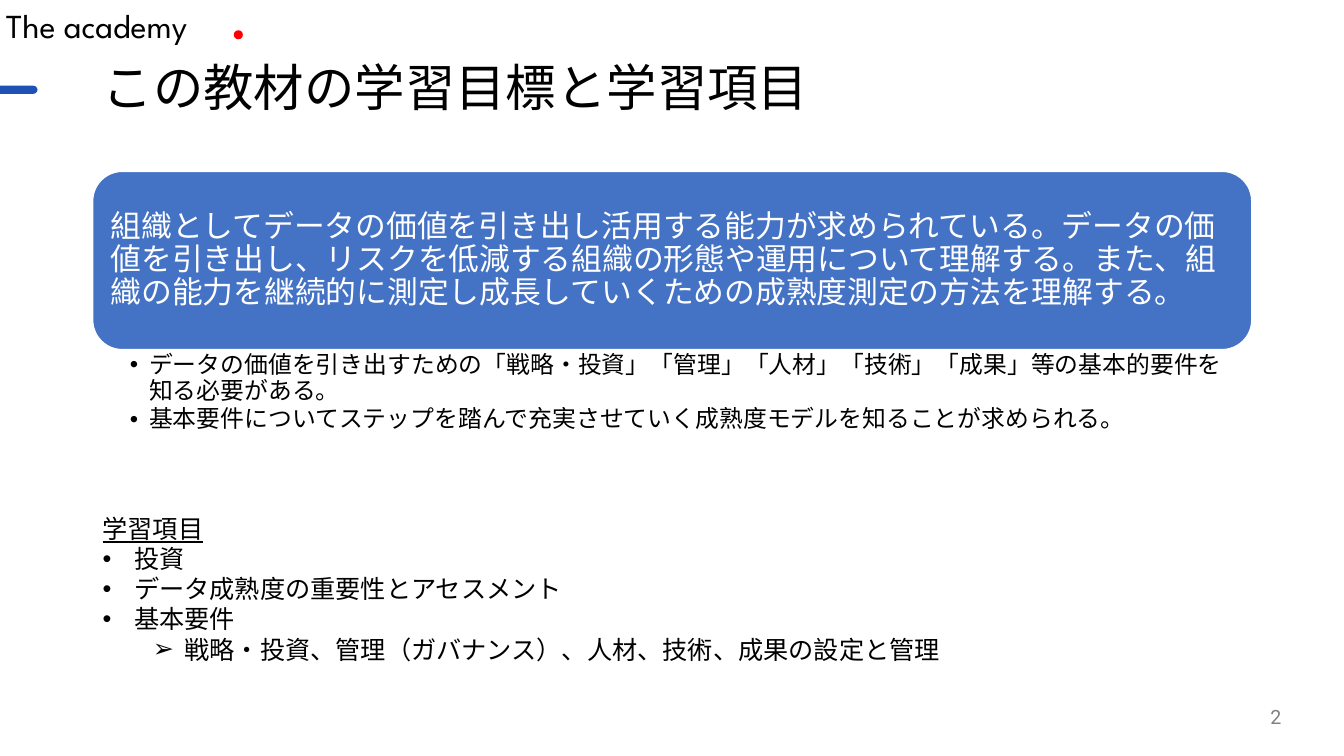
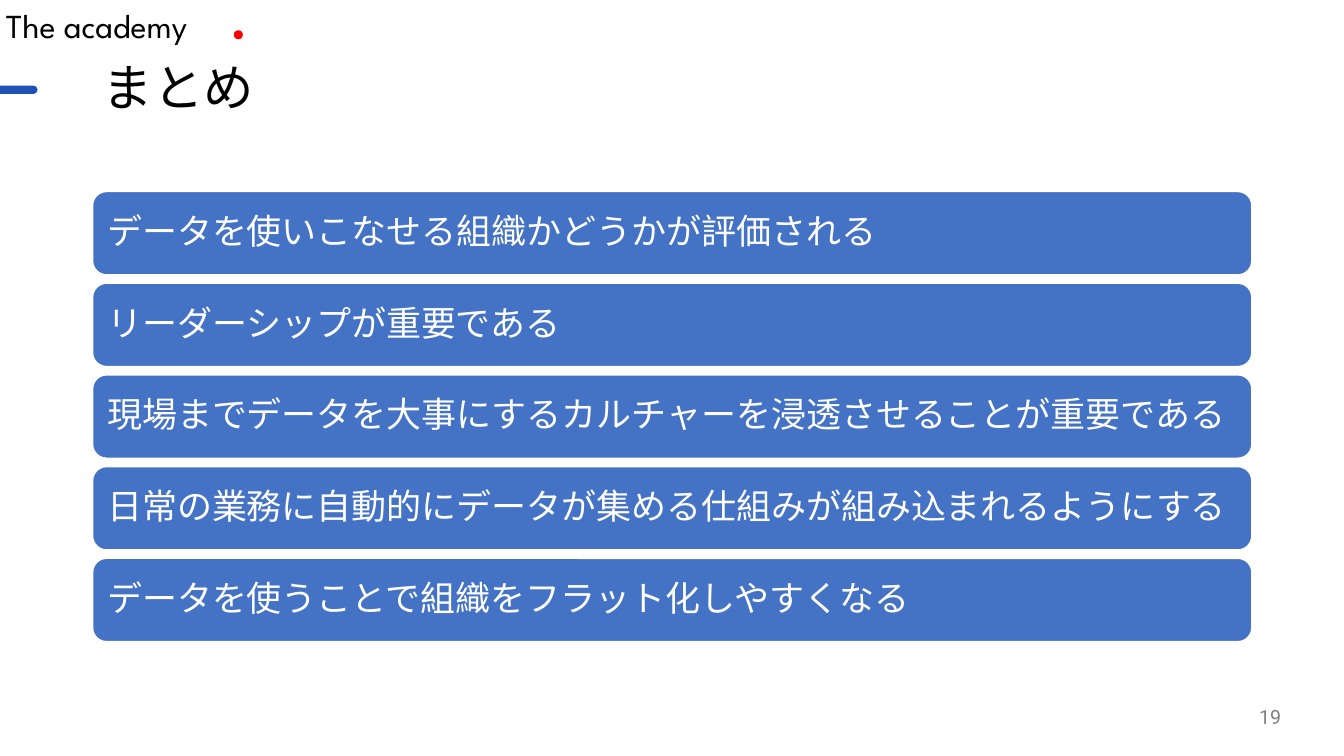
from dataclasses import dataclass
from typing import Any

from lxml import etree
from pptx import Presentation
from pptx import util as u
from pptx.dml import color
from pptx.enum import shapes, text
from pptx.oxml import ns

# Shared style
JAPANESE, LATIN, BRAND = "Noto Sans CJK JP", "Roboto", "League Spartan"
BLACK, WHITE, GREY = "000000", "FFFFFF", "808080"
CARD_BLUE, BAR_BLUE, RED = "4472C4", "1E50B5", "FF0000"
LEFT, WIDTH = 66.2, 828
MIDDLE = text.MSO_ANCHOR.MIDDLE


@dataclass(frozen=True)
class Box:
    left: float
    top: float
    width: float
    height: float

    def place(self) -> tuple[u.Length, ...]:
        return tuple(u.Pt(v) for v in (self.left, self.top, self.width, self.height))


@dataclass(frozen=True)
class Style:
    size: float
    ink: str = BLACK
    face: str = JAPANESE
    line_spacing: float = 1.0
    space_after: float = 0
    alignment: Any = text.PP_ALIGN.LEFT


@dataclass(frozen=True)
class Line:
    words: str
    bullet: str = ""
    margin: float = 0
    hanging: float = 0
    underline: bool = False


TITLE_STYLE = Style(36, face=LATIN, line_spacing=0.9)
NUMBER_STYLE = Style(14, GREY, LATIN, alignment=text.PP_ALIGN.RIGHT)


def rgb(value: str) -> color.RGBColor:
    return color.RGBColor.from_string(value)


def apply(target: Any, values: dict[str, Any]) -> None:
    for name, value in values.items():
        setattr(target, name, value)


def add_bullet(paragraph: Any, line: Line) -> None:
    props = paragraph._p.get_or_add_pPr()
    props.set("marL", str(u.Pt(line.margin)))
    props.set("indent", str(u.Pt(-line.hanging)))
    etree.SubElement(props, ns.qn("a:buFont")).set("typeface", "Arial")
    etree.SubElement(props, ns.qn("a:buChar")).set("char", line.bullet)


def write(frame: Any, lines: list[Line], style: Style, **frame_format: Any) -> None:
    apply(frame, {"word_wrap": True, **frame_format})
    for index, line in enumerate(lines):
        paragraph = frame.add_paragraph() if index else frame.paragraphs[0]
        apply(paragraph, {"alignment": style.alignment,
                          "line_spacing": style.line_spacing,
                          "space_before": u.Pt(0),
                          "space_after": u.Pt(style.space_after)})
        if line.bullet:
            add_bullet(paragraph, line)
        run = paragraph.add_run()
        run.text = line.words
        apply(run.font, {"size": u.Pt(style.size), "name": style.face,
                         "underline": line.underline})
        run.font.color.rgb = rgb(style.ink)
        east_asian = etree.SubElement(run._r.get_or_add_rPr(), ns.qn("a:ea"))
        east_asian.set("typeface", JAPANESE)


def add_text(slide: Any, box: Box, lines: list[Line], style: Style,
             **frame_format: Any) -> None:
    frame = slide.shapes.add_textbox(*box.place()).text_frame
    write(frame, lines, style, **frame_format)


def add_filled(slide: Any, kind: Any, box: Box, fill: str, edge: str = "") -> Any:
    shape = slide.shapes.add_shape(kind, *box.place())
    shape.shadow.inherit = False
    shape.fill.solid()
    shape.fill.fore_color.rgb = rgb(fill)
    if edge:
        shape.line.color.rgb = rgb(edge)
        shape.line.width = u.Pt(1)
    else:
        shape.line.fill.background()
    return shape


def add_card(slide: Any, top: float, height: float, words: str, size: float) -> None:
    card = add_filled(slide, shapes.MSO_SHAPE.ROUNDED_RECTANGLE,
                      Box(LEFT, top, WIDTH, height), CARD_BLUE, WHITE)
    inset = u.Pt(0.3 * size)
    write(card.text_frame, [Line(words)], Style(size, WHITE, line_spacing=0.9),
          vertical_anchor=MIDDLE, margin_left=inset, margin_right=inset,
          margin_top=inset, margin_bottom=inset)


def add_page(deck: Any, heading: str, number: str) -> Any:
    slide = deck.slides.add_slide(deck.slide_layouts[5])
    # Header band
    add_filled(slide, shapes.MSO_SHAPE.OVAL, Box(167, 21.6, 6.5, 6.5), RED)
    add_text(slide, Box(-2.9, 0, 176.4, 36), [Line("The academy")],
             Style(24, face=BRAND))
    bar = add_filled(slide, shapes.MSO_SHAPE.ROUNDED_RECTANGLE,
                     Box(-7.2, 61.2, 34, 5.8), BAR_BLUE)
    bar.adjustments[0] = 0.5
    # Title and page number
    title = slide.shapes.title
    title_place = Box(LEFT, 41, WIDTH, 46.8).place()
    apply(title, dict(zip(("left", "top", "width", "height"), title_place)))
    write(title.text_frame, [Line(heading)], TITLE_STYLE, vertical_anchor=MIDDLE,
          auto_size=text.MSO_AUTO_SIZE.SHAPE_TO_FIT_TEXT)
    add_text(slide, Box(706.3, 497.5, 216, 28.8), [Line(number)], NUMBER_STYLE,
             vertical_anchor=MIDDLE)
    return slide


deck = Presentation()
apply(deck, {"slide_width": u.Pt(960), "slide_height": u.Pt(540)})

# Learning goals and topics
goals = add_page(deck, "この教材の学習目標と学習項目", "2")
add_card(goals, 122.4, 127.4,
         "組織としてデータの価値を引き出し活用する能力が求められている。"
         "データの価値を引き出し、リスクを低減する組織の形態や運用について理解する。"
         "また、組織の能力を継続的に測定し成長していくための成熟度測定の方法を理解する。", 22)
requirements = [
    "データの価値を引き出すための「戦略・投資」「管理」「人材」「技術」「成果」"
    "等の基本的要件を知る必要がある。",
    "基本要件についてステップを踏んで充実させていく成熟度モデルを知ることが求められる。",
]
add_text(goals, Box(LEFT, 249.8, WIDTH, 131),
         [Line(words, "•", 13.7, 13.7) for words in requirements],
         Style(17, line_spacing=0.9, space_after=2.2),
         margin_left=u.Pt(26.6), margin_right=u.Pt(12.2),
         margin_top=u.Pt(2.2), margin_bottom=u.Pt(2.2))
topics = ["投資", "データ成熟度の重要性とアセスメント", "基本要件"]
add_text(goals, Box(LEFT, 362.9, 841.7, 116.6),
         [Line("学習項目", underline=True),
          *(Line(topic, "•", 22.5, 22.5) for topic in topics),
          Line("戦略・投資、管理（ガバナンス）、人材、技術、成果の設定と管理",
               "➢", 58.5, 22.5)],
         Style(18))

# Summary
summary = add_page(deck, "まとめ", "19")
takeaways = [
    "データを使いこなせる組織かどうかが評価される",
    "リーダーシップが重要である",
    "現場までデータを大事にするカルチャーを浸透させることが重要である",
    "日常の業務に自動的にデータが集める仕組みが組み込まれるようにする",
    "データを使うことで組織をフラット化しやすくなる",
]
CARD_TOP, CARD_PITCH, CARD_HEIGHT = 136.8, 65.5, 59.5
for row, takeaway in enumerate(takeaways):
    add_card(summary, CARD_TOP + row * CARD_PITCH, CARD_HEIGHT, takeaway, 25)

deck.save("out.pptx")
